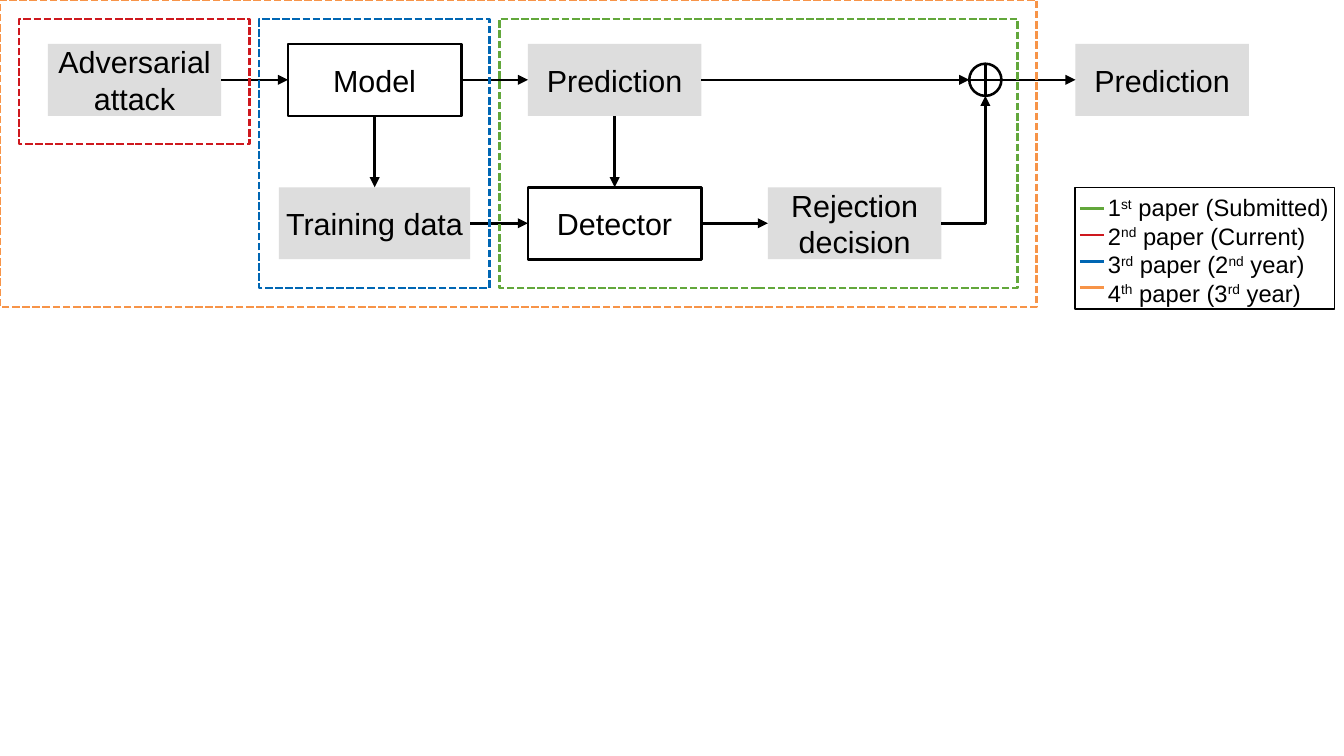
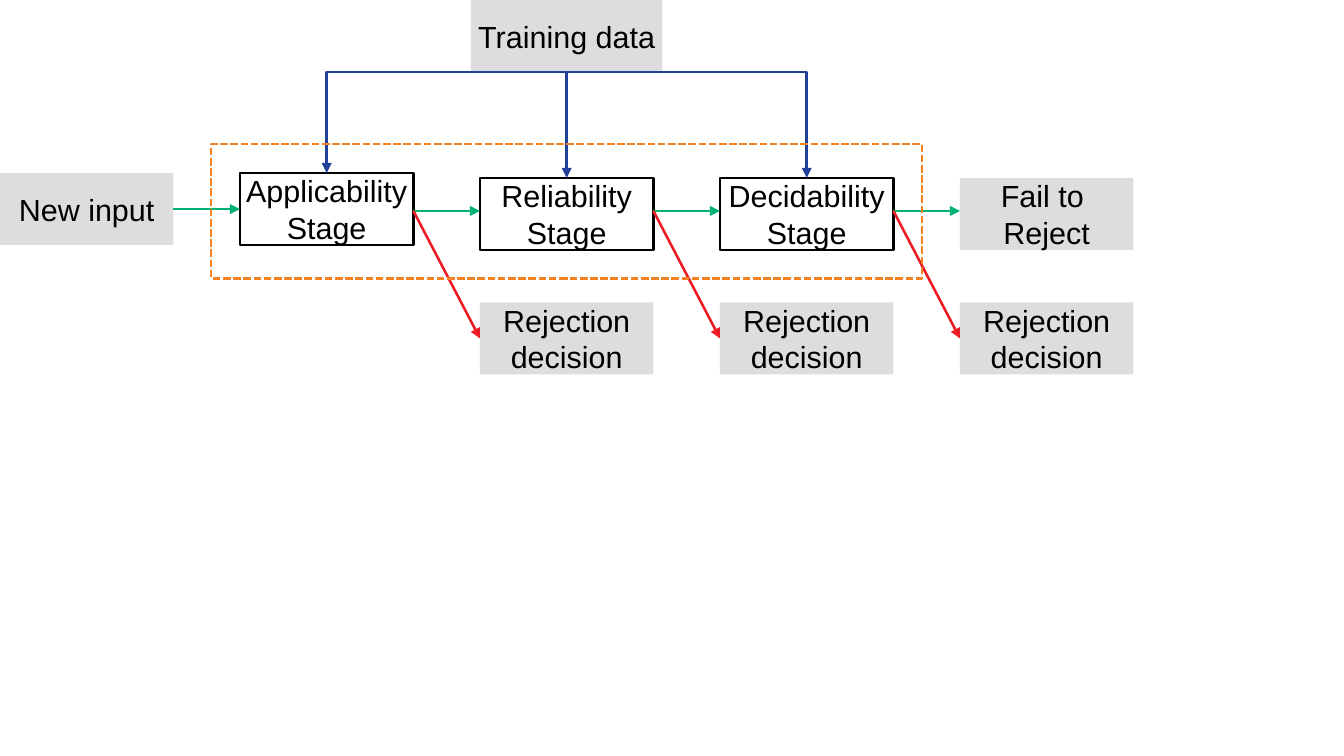
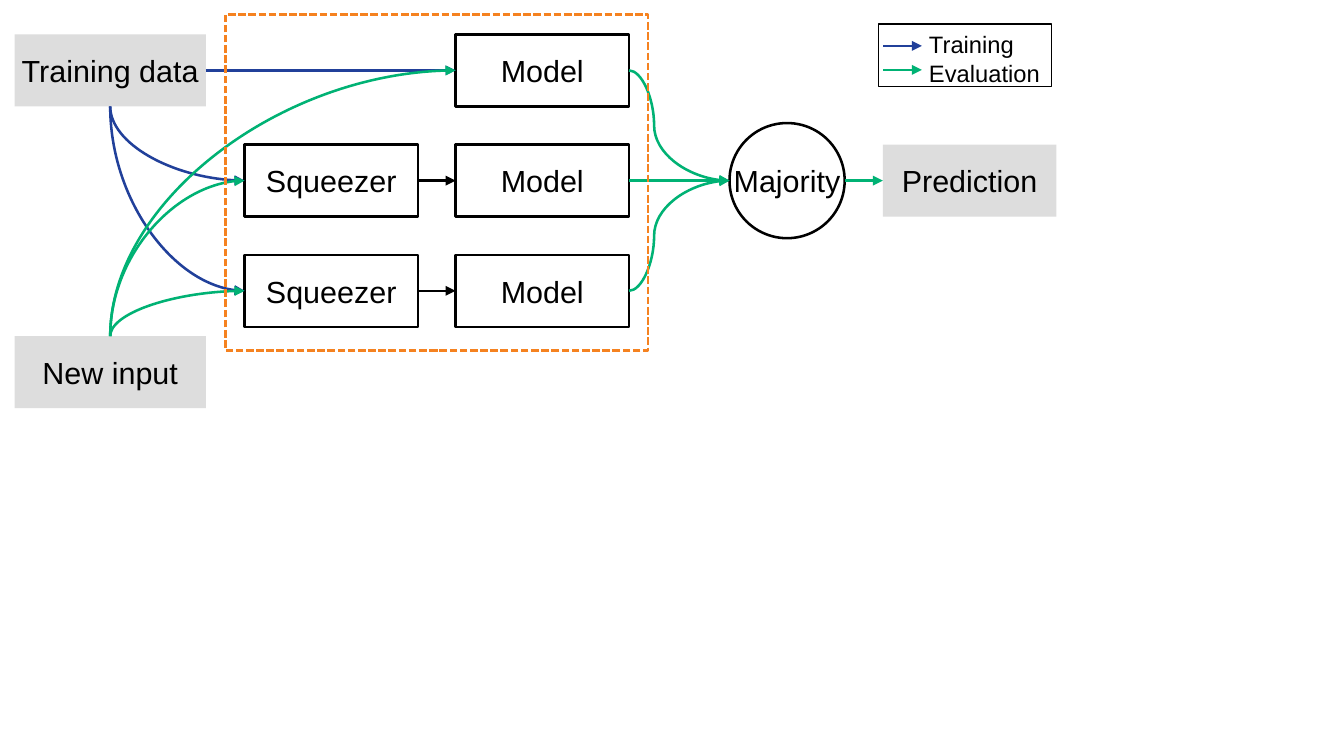
from pptx import Presentation
from pptx.dml.color import RGBColor
from pptx.enum.dml import MSO_LINE
from pptx.enum.shapes import MSO_CONNECTOR, MSO_SHAPE
from pptx.enum.text import MSO_ANCHOR, PP_ALIGN
from pptx.oxml.ns import qn
from pptx.util import Pt
from lxml import etree

RECTANGLE, ELLIPSE, CIRCLED_PLUS = MSO_SHAPE.RECTANGLE, MSO_SHAPE.OVAL, MSO_SHAPE.FLOWCHART_OR
STRAIGHT, ELBOW, CURVE = MSO_CONNECTOR.STRAIGHT, MSO_CONNECTOR.ELBOW, MSO_CONNECTOR.CURVE
DASHED = MSO_LINE.SQUARE_DOT
CENTER, LEFT_ALIGN = PP_ALIGN.CENTER, PP_ALIGN.LEFT
MIDDLE, TOP_ANCHOR = MSO_ANCHOR.MIDDLE, MSO_ANCHOR.TOP
TOP, LEFT, BOTTOM, RIGHT = range(4)

BLACK = RGBColor(0x00, 0x00, 0x00)
WHITE = RGBColor(0xFF, 0xFF, 0xFF)
GREY = RGBColor(0xDD, 0xDD, 0xDD)
LEAF = RGBColor(0x62, 0xA7, 0x3B)
CRIMSON = RGBColor(0xCE, 0x18, 0x1E)
BLUE = RGBColor(0x00, 0x66, 0xB3)
PEACH = RGBColor(0xF7, 0x94, 0x48)
ORANGE = RGBColor(0xF5, 0x82, 0x20)
NAVY = RGBColor(0x21, 0x40, 0x9A)
GREEN = RGBColor(0x00, 0xB2, 0x74)
RED = RGBColor(0xED, 0x1C, 0x24)

FONT = "Arial"
BOX_WIDTH, WIDE_BOX, BOX_HEIGHT = 102.4, 113, 42.5
COLUMN_PITCH = 141.7
LINE_WIDTH = 1.5


class Diagram:
    def __init__(self):
        self.presentation = Presentation()
        self.presentation.slide_width = Pt(793.5)
        self.presentation.slide_height = Pt(446.4)
        self.slide = None

    def new_slide(self):
        self.slide = self.presentation.slides.add_slide(self.presentation.slide_layouts[6])

    def fill_text(self, shape, text, size, alignment):
        for index, line in enumerate(text.split("\n")):
            frame = shape.text_frame
            paragraph = frame.add_paragraph() if index else frame.paragraphs[0]
            paragraph.alignment = alignment
            for position, piece in enumerate(line.split("^")):
                run = paragraph.add_run()
                run.text = piece
                if position % 2:
                    run.font._element.set("baseline", "33000")
            paragraph.font.name = FONT
            paragraph.font.size = Pt(size)
            paragraph.font.color.rgb = BLACK

    def shape(self, kind, left, top, width, height, fill=None, line=None, line_width=LINE_WIDTH):
        shape = self.slide.shapes.add_shape(kind, Pt(left), Pt(top), Pt(width), Pt(height))
        shape.shadow.inherit = False
        if fill is None:
            shape.fill.background()
        else:
            shape.fill.solid()
            shape.fill.fore_color.rgb = fill
        if line is None:
            shape.line.fill.background()
        else:
            shape.line.color.rgb = line
            shape.line.width = Pt(line_width)
        return shape

    def label(self, shape, text):
        shape.text_frame.word_wrap = False
        shape.text_frame.vertical_anchor = MIDDLE
        self.fill_text(shape, text, 18, CENTER)
        return shape

    def data(self, text, left, top, width=BOX_WIDTH):
        return self.label(self.shape(RECTANGLE, left, top, width, BOX_HEIGHT, GREY), text)

    def process(self, text, left, top):
        box = self.shape(RECTANGLE, left, top, BOX_WIDTH, BOX_HEIGHT, WHITE, BLACK)
        return self.label(box, text)

    def circle(self, kind, left, top, size):
        return self.shape(kind, left, top, size, size, WHITE, BLACK)

    def frame(self, left, top, width, height, color):
        frame = self.shape(RECTANGLE, left, top, width, height, None, color)
        frame.line.dash_style = DASHED

    def point(self, place):
        owner, side = place
        if isinstance(owner, (int, float)):
            return place
        horizontal = {LEFT: 0, RIGHT: 1}.get(side, 0.5)
        vertical = {TOP: 0, BOTTOM: 1}.get(side, 0.5)
        return (owner.left.pt + owner.width.pt * horizontal,
                owner.top.pt + owner.height.pt * vertical)

    def line(self, kind, start, end, color, arrow="tailEnd"):
        ends = [Pt(value) for place in (start, end) for value in self.point(place)]
        connector = self.slide.shapes.add_connector(kind, *ends)
        connector.line.color.rgb = color
        connector.line.width = Pt(LINE_WIDTH)
        properties = connector._element.spPr
        if arrow:
            etree.SubElement(properties.find(qn("a:ln")), qn(f"a:{arrow}"), type="triangle")
        etree.SubElement(properties, qn("a:effectLst"))
        return connector

    def arrow(self, start, end, color=BLACK):
        connector = self.line(STRAIGHT, start, end, color)
        for (owner, side), connect in ((start, connector.begin_connect), (end, connector.end_connect)):
            if not isinstance(owner, (int, float)) and owner.auto_shape_type == RECTANGLE:
                connect(owner, side)

    def elbow(self, start, end, color=BLACK):
        connector = self.line(ELBOW, start, end, color)
        connector._element.spPr.find(qn("a:prstGeom")).set("prst", "bentConnector2")

    def arc(self, source, target, color):
        connector = self.line(CURVE, target, source, color, "headEnd")
        connector._element.spPr.find(qn("a:prstGeom")).set("prst", "curvedConnector2")

    def wave(self, start, end, color):
        connector = self.line(CURVE, start, end, color)
        geometry = connector._element.spPr.find(qn("a:prstGeom"))
        adjustments = geometry.find(qn("a:avLst"))
        if adjustments is None:
            adjustments = etree.SubElement(geometry, qn("a:avLst"))
        etree.SubElement(adjustments, qn("a:gd"), name="adj1", fmla="val 25000")

    def legend(self, box, text_left, text_width, entries, key_left, key_width, key_top, key_pitch, arrow):
        left, top, width, height = box
        text_box = self.slide.shapes.add_textbox(Pt(text_left), Pt(top), Pt(text_width), Pt(height))
        text_box.text_frame.word_wrap = True
        text_box.text_frame.vertical_anchor = TOP_ANCHOR
        self.fill_text(text_box, "\n".join(text for text, _ in entries), 14, LEFT_ALIGN)
        self.shape(RECTANGLE, left, top, width, height, None, BLACK, 0.8)
        for index, (_, color) in enumerate(entries):
            y = key_top + index * key_pitch
            self.line(STRAIGHT, (key_left, y), (key_left + key_width, y), color, arrow)


def build_overview(diagram):
    diagram.new_slide()
    upper, lower = 25.9, 110.6
    attack_left = 28.3
    model_left = attack_left + COLUMN_PITCH
    prediction_left = model_left + COLUMN_PITCH
    attack = diagram.data("Adversarial\nattack", attack_left, upper)
    model = diagram.process("Model", model_left, upper)
    prediction = diagram.data("Prediction", prediction_left, upper)
    result = diagram.data("Prediction", 635, upper)
    training = diagram.data("Training data", model_left + (BOX_WIDTH - WIDE_BOX) / 2, lower, WIDE_BOX)
    detector = diagram.process("Detector", prediction_left, lower)
    rejection = diagram.data("Rejection\ndecision", prediction_left + COLUMN_PITCH, lower)
    combination = diagram.circle(CIRCLED_PLUS, 572.3, upper + BOX_HEIGHT / 2 - 9.5, 19)

    for source, target in ((attack, model), (model, prediction), (prediction, combination),
                           (combination, result), (training, detector), (detector, rejection)):
        diagram.arrow((source, RIGHT), (target, LEFT))
    for source, target in ((model, training), (prediction, detector)):
        diagram.arrow((source, BOTTOM), (target, TOP))
    diagram.elbow((rejection, RIGHT), (combination, BOTTOM))

    diagram.frame(294.8, 11.3, 306, 158.7, LEAF)
    diagram.frame(11.3, 11.3, 136, 73.7, CRIMSON)
    diagram.frame(153, 11.3, 136, 158.7, BLUE)
    papers = [("1^st^ paper (Submitted)", LEAF), ("2^nd^ paper (Current)", CRIMSON),
              ("3^rd^ paper (2^nd^ year)", BLUE), ("4^th^ paper (3^rd^ year)", PEACH)]
    diagram.legend((634.7, 110.6, 153.2, 72), 647, 148, papers, 637.6, 14.4, 123.1, 15.6, None)
    diagram.frame(0, 0, 612, 181.4, PEACH)


def build_stages(diagram):
    diagram.new_slide()
    stage_top, first_top, rejection_top, flow_y = 105.1, 102.2, 178.6, 124.6
    lefts = [141.7 + index * COLUMN_PITCH for index in range(4)]
    training = diagram.data("Training data", lefts[1] + (BOX_WIDTH - WIDE_BOX) / 2, 0, WIDE_BOX)
    new_input = diagram.data("New input", 0, first_top)
    names = ("Applicability", "Reliability", "Decidability")
    tops = (first_top, stage_top, stage_top)
    stages = [diagram.process(f"{name}\nStage", left, top)
              for name, left, top in zip(names, lefts, tops)]
    diagram.data("Fail to \nReject", lefts[3], stage_top)

    diagram.arrow((new_input, RIGHT), (stages[0], LEFT), GREEN)
    for left, next_left in zip(lefts, lefts[1:]):
        rejection = diagram.data("Rejection\ndecision", next_left, rejection_top)
        outlet = (left + BOX_WIDTH, flow_y)
        diagram.arrow(outlet, (next_left, flow_y), GREEN)
        diagram.arrow(outlet, (rejection, LEFT), RED)

    diagram.arrow((training, BOTTOM), (stages[1], TOP), NAVY)
    for stage in (stages[0], stages[2]):
        diagram.elbow((training, BOTTOM), (stage, TOP), NAVY)
    diagram.frame(124.7, 85, 419.6, 79.4, ORANGE)


def build_ensemble(diagram):
    diagram.new_slide()
    rows = [20.3 + index * 65.1 for index in range(3)]
    training = diagram.data("Training data", 8.6, rows[0], WIDE_BOX)
    new_input = diagram.data("New input", 8.6, 198.5, WIDE_BOX)
    prediction = diagram.data("Prediction", 521.3, rows[1])
    models = [diagram.process("Model", 269, top) for top in rows]
    squeezers = [diagram.process("Squeezer", 144.4, top) for top in rows[1:]]
    majority = diagram.circle(ELLIPSE, 430.7, rows[1] + BOX_HEIGHT / 2 - 34, 68)
    diagram.label(majority, "Majority")

    diagram.arrow((training, RIGHT), (models[0], LEFT), NAVY)
    for squeezer, model in zip(squeezers, models[1:]):
        diagram.arrow((squeezer, RIGHT), (model, LEFT))
        diagram.arc((training, BOTTOM), (squeezer, LEFT), NAVY)
    for target in (*squeezers, models[0]):
        diagram.arc((new_input, TOP), (target, LEFT), GREEN)
    for model in (models[0], models[2]):
        diagram.wave((model, RIGHT), (majority, LEFT), GREEN)
    diagram.arrow((models[1], RIGHT), (majority, LEFT), GREEN)
    diagram.arrow((majority, RIGHT), (prediction, LEFT), GREEN)

    phases = [("Training", NAVY), ("Evaluation", GREEN)]
    diagram.legend((518.7, 14.2, 102, 36.8), 541.4, 85, phases, 521.6, 22.7, 27.1, 14.2, "tailEnd")
    diagram.frame(133.2, 8.5, 249.4, 198.4, ORANGE)


def main():
    diagram = Diagram()
    build_overview(diagram)
    build_stages(diagram)
    build_ensemble(diagram)
    diagram.presentation.save("out.pptx")


if __name__ == "__main__":
    main()
